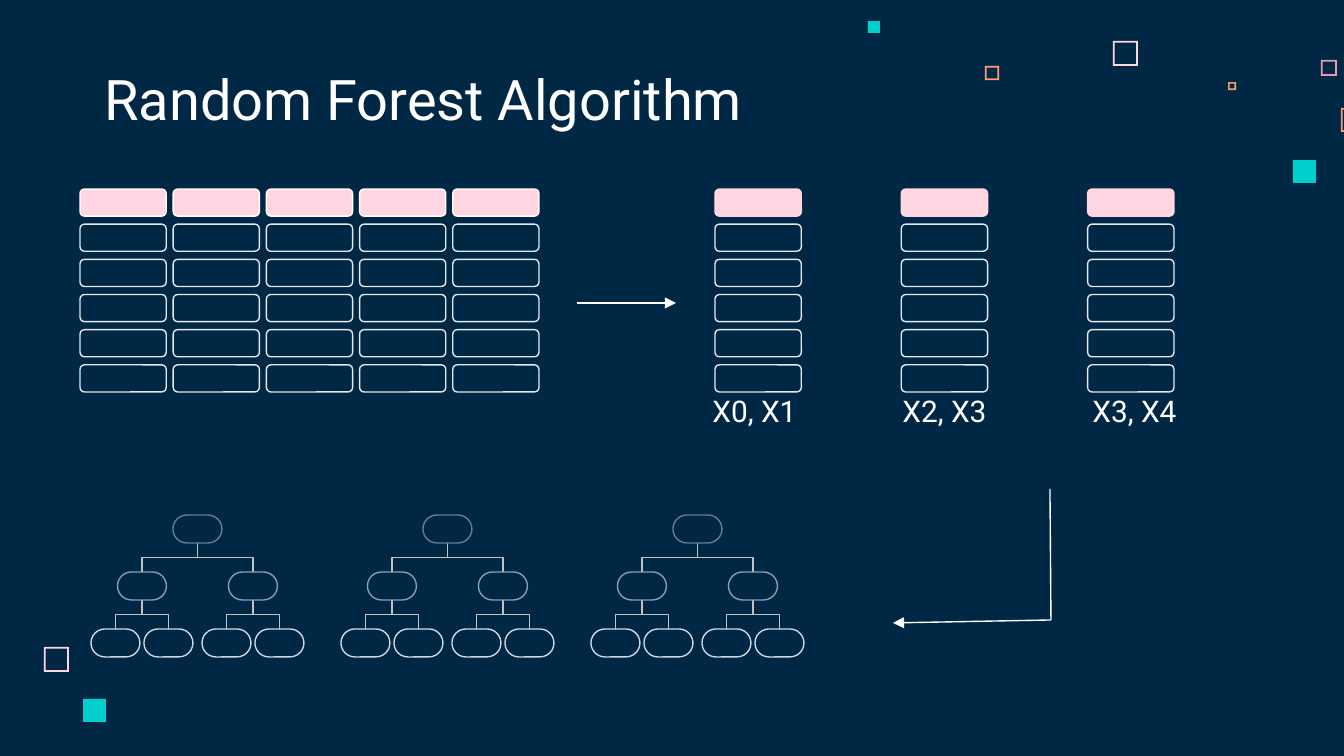
from lxml.etree import SubElement
from pptx import Presentation
from pptx.dml.color import RGBColor
from pptx.enum.shapes import MSO_CONNECTOR, MSO_SHAPE
from pptx.enum.text import MSO_ANCHOR, PP_ALIGN
from pptx.oxml.ns import qn
from pptx.util import Emu, Pt

PAGE_WIDTH, PAGE_HEIGHT = 1344, 756
EMU_PER_PX = 9144000 / PAGE_WIDTH

NAVY, WHITE, PALE = "002845", "FFFFFF", "E3E9ED"
PINK, ROSE, ORANGE, TEAL = "FFD6E1", "E898AC", "FF9973", "00CFCC"
BRANCH = "C2C2C2"
ROOT, MIDDLE, LEAF = "667E92", "869FB1", "CFD9E0"


def px(length):
    return Emu(round(length * EMU_PER_PX))


def color(hex_string):
    return RGBColor.from_string(hex_string)


def add_box(shapes, kind, box, fill=None, line=None):
    shape = shapes.add_shape(kind, *map(px, box))
    shape.shadow.inherit = False
    if fill:
        shape.fill.solid()
        shape.fill.fore_color.rgb = color(fill)
    else:
        shape.fill.background()
    if line:
        shape.line.color.rgb = color(line)
        shape.line.width = Pt(0.75)
    else:
        shape.line.fill.background()
    return shape


def add_text(shapes, box, text, size=16, align=PP_ALIGN.CENTER):
    frame = shapes.add_textbox(*map(px, box)).text_frame
    frame.word_wrap = True
    frame.vertical_anchor = MSO_ANCHOR.BOTTOM
    frame.margin_left = frame.margin_right = Pt(7.2)
    frame.margin_top = frame.margin_bottom = Pt(7.2)
    para = frame.paragraphs[0]
    para.alignment = align
    span = para.add_run()
    span.text = text
    span.font.name = "Roboto"
    span.font.size = Pt(size)
    span.font.color.rgb = color(WHITE)


def add_line(shapes, start, end, line=WHITE, kind=MSO_CONNECTOR.STRAIGHT, arrow=False):
    connector = shapes.add_connector(kind, *map(px, (*start, *end)))
    connector.line.color.rgb = color(line)
    connector.line.width = Pt(0.75)
    properties = connector.element.spPr
    if arrow:
        SubElement(properties.find(qn("a:ln")), qn("a:tailEnd"), type="triangle")
    SubElement(properties, qn("a:effectLst"))
    return connector


def add_branch(shapes, parent, child):
    """Join a parent's bottom to a child's top with an elbow turned to run vertically."""
    (parent_x, parent_y), (child_x, child_y) = parent, child
    middle_x, middle_y = (parent_x + child_x) / 2, (parent_y + child_y) / 2
    half_run, half_drop = abs(child_x - parent_x) / 2, (child_y - parent_y) / 2
    elbow = add_line(shapes,
                     (middle_x - half_drop, middle_y - half_run),
                     (middle_x + half_drop, middle_y + half_run),
                     line=BRANCH, kind=MSO_CONNECTOR.ELBOW)
    transform = elbow.element.spPr.find(qn("a:xfrm"))
    transform.set("rot", str(270 * 60000))
    if child_x > parent_x:
        transform.set("flipH", "1")


def add_decoration(shapes):
    """Scatter the small squares and square frames near the page corners."""
    frames = [(1113, 41, 25, PINK), (1321, 60, 16, ROSE), (1228, 82, 8, ORANGE),
              (1341, 108, 24, ORANGE), (985, 66, 14, ORANGE), (44, 647, 25, PINK)]
    for left, top, size, fill in frames:
        frame = add_box(shapes, MSO_SHAPE.FRAME, (left, top, size, size), fill)
        frame.adjustments[0] = 1.7 / size
    for left, top, size in [(1293, 160, 23), (868, 21, 12), (83, 699, 23)]:
        add_box(shapes, MSO_SHAPE.RECTANGLE, (left, top, size, size), TEAL)


def add_data_grid(shapes, box, columns, column_gap, head_line, rows=6, row_gap=8):
    """Fill the box with rounded cells under one pink head row."""
    left, top, width, height = box
    cells = shapes.add_group_shape().shapes
    cell_width = (width - (columns - 1) * column_gap) / columns
    cell_height = (height - (rows - 1) * row_gap) / rows
    for row in range(rows):
        fill, line = (PINK, head_line) if row == 0 else (None, PALE)
        for column in range(columns):
            cell = (left + column * (cell_width + column_gap),
                    top + row * (cell_height + row_gap), cell_width, cell_height)
            add_box(cells, MSO_SHAPE.FLOWCHART_ALTERNATE_PROCESS, cell, fill, line)


def add_tree(shapes, box):
    """Draw a three-level binary tree, each parent centred over its two children."""
    left, top, width, height = box
    node_width, node_height, sibling_step = 49, 28, 53
    level_step = (height - node_height) / 2
    second_pair = width - node_width - sibling_step
    leaves = [left + offset for offset in
              (0, sibling_step, second_pair, second_pair + sibling_step)]
    parents = [sum(leaves[:2]) / 2, sum(leaves[2:]) / 2]
    levels = [[sum(parents) / 2], parents, leaves]
    parts = shapes.add_group_shape().shapes

    for depth in (0, 1):
        bottom = top + depth * level_step + node_height
        next_top = top + (depth + 1) * level_step
        for index, child in enumerate(levels[depth + 1]):
            parent = levels[depth][index // 2]
            add_branch(parts, (parent + node_width / 2, bottom),
                       (child + node_width / 2, next_top))
    for depth, (nodes, line) in enumerate(zip(levels, (ROOT, MIDDLE, LEAF))):
        for node in nodes:
            shape = add_box(parts, MSO_SHAPE.ROUNDED_RECTANGLE,
                            (node, top + depth * level_step, node_width, node_height),
                            line=line)
            shape.adjustments[0] = 0.5


def main():
    deck = Presentation()
    deck.slide_width, deck.slide_height = px(PAGE_WIDTH), px(PAGE_HEIGHT)
    page = deck.slides.add_slide(deck.slide_layouts[6])
    page.background.fill.solid()
    page.background.fill.fore_color.rgb = color(NAVY)
    shapes = page.shapes

    add_decoration(shapes)
    add_text(shapes, (91, 60, 695, 85), "Random Forest Algorithm",
             size=30, align=PP_ALIGN.LEFT)
    add_data_grid(shapes, (80, 189, 459, 203), 5, 7, head_line=WHITE)
    add_data_grid(shapes, (715, 189, 459, 203), 3, 100, head_line=PINK)
    for index, label in enumerate(("X0, X1", "X2, X3", "X3, X4")):
        add_text(shapes, (616 + 190 * index, 375, 277, 67), label)

    add_line(shapes, (577, 303), (676, 303), arrow=True)
    add_line(shapes, (1050, 489), (1051, 620))
    add_line(shapes, (1051, 620), (893, 623), arrow=True)
    for index in range(3):
        add_tree(shapes, (91 + 250 * index, 515, 213, 142))

    deck.save("out.pptx")


if __name__ == "__main__":
    main()
